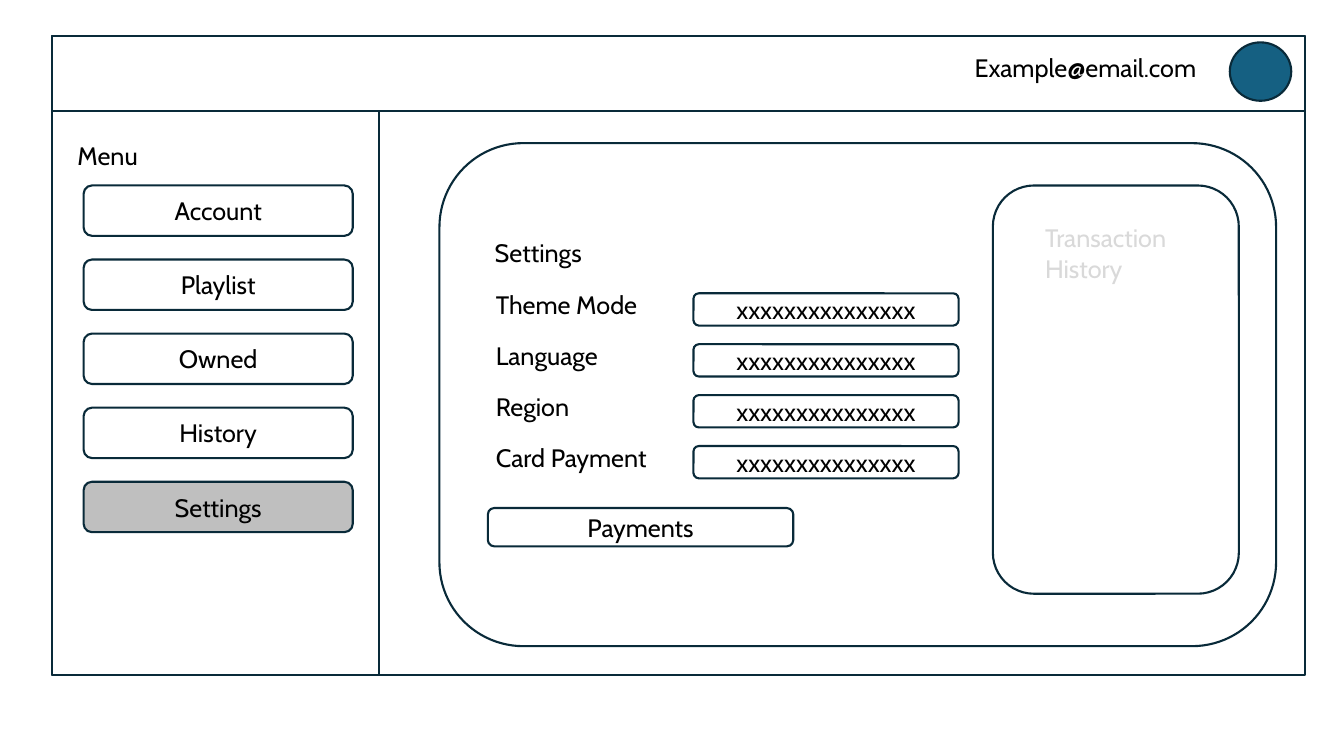
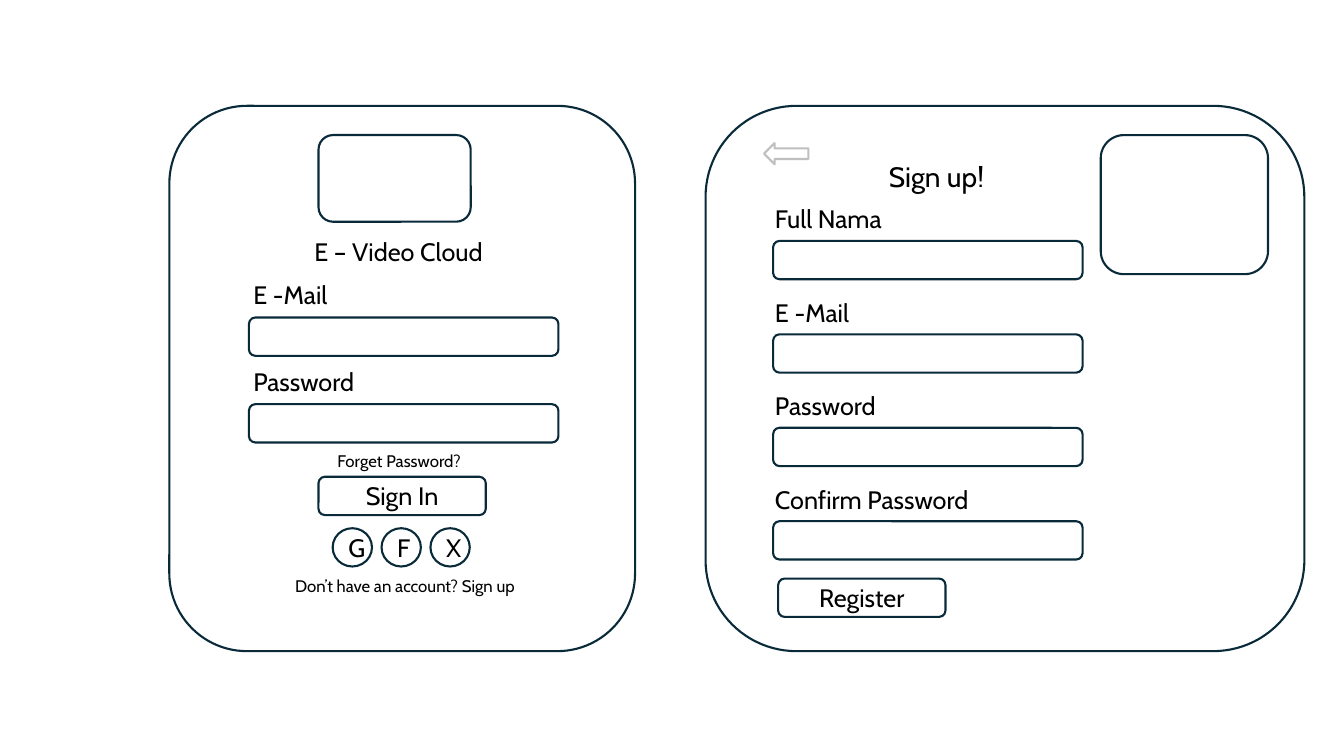
from pptx import Presentation
from pptx.dml.color import RGBColor
from pptx.enum.shapes import MSO_SHAPE as Shape
from pptx.enum.text import MSO_ANCHOR as Anchor, PP_ALIGN as Align
from pptx.util import Inches, Pt

COLORS = {
    "outline": "092A39",
    "text": "000000",
    "avatar": "156082",
    "muted": "BFBFBF",
    "faint": "D9D9D9",
}
CELL = 0.1  # inches per grid column and row
COLUMNS, ROWS = 133.33, 75


def grid(cells):
    return Inches(cells * CELL)


def color(name):
    return RGBColor.from_string(COLORS[name])


class Wireframe:
    """Style of the mock-ups and the slide being drawn."""

    font = "Cabin"
    size = 18
    line_width = 1.5

    def __init__(self):
        self.deck = Presentation()
        self.deck.slide_width = grid(COLUMNS)
        self.deck.slide_height = grid(ROWS)
        self.page = None

    def new_page(self):
        self.page = self.deck.slides.add_slide(self.deck.slide_layouts[6])

    def set_text(self, frame, text, size, ink, align):
        frame.word_wrap = True
        frame.text = text
        for paragraph in frame.paragraphs:
            paragraph.alignment = align
            paragraph.font.name = self.font
            paragraph.font.size = Pt(size)
            paragraph.font.color.rgb = color(ink)

    def box(self, left, top, width, height, text="", kind=Shape.ROUNDED_RECTANGLE,
            fill=None, line="outline"):
        box = self.page.shapes.add_shape(
            kind, grid(left), grid(top), grid(width), grid(height))
        box.shadow.inherit = False
        if fill:
            box.fill.solid()
            box.fill.fore_color.rgb = color(fill)
        else:
            box.fill.background()
        box.line.color.rgb = color(line)
        box.line.width = Pt(self.line_width)
        if text:
            box.text_frame.vertical_anchor = Anchor.MIDDLE
            self.set_text(box.text_frame, text, self.size, "text", Align.CENTER)

    def label(self, left, top, text, width=27, height=4, size=size, ink="text"):
        label = self.page.shapes.add_textbox(
            grid(left), grid(top), grid(width), grid(height))
        self.set_text(label.text_frame, text, size, ink, Align.LEFT)

    def form(self, left, top, pitch, names, indent, rise):
        """Stack of empty fields, each with its label above."""
        for row, name in enumerate(names):
            field_top = top + row * pitch
            self.label(left - indent, field_top - rise, name)
            self.box(left, field_top, 30.7, 3.8)


def settings_page(frame):
    frame.new_page()

    # Window, header and sidebar
    left, top, width, height, header = 5.2, 3.6, 124.3, 63.4, 7.4
    frame.box(left, top, width, height, kind=Shape.RECTANGLE)
    frame.box(left, top, width, header, kind=Shape.RECTANGLE)
    frame.box(left, top + header, 32.4, height - header, kind=Shape.RECTANGLE)
    frame.label(95.7, 4.7, "Example@email.com")
    frame.box(122, 4.2, 6.1, 5.8, kind=Shape.OVAL, fill="avatar")

    # Menu
    frame.label(6.7, 13.4, "Menu")
    menu = ["Account", "Playlist", "Owned", "History", "Settings"]
    for row, name in enumerate(menu):
        fill = "muted" if name == "Settings" else None
        frame.box(8.3, 18.4 + row * 7.35, 26.7, 5, name, fill=fill)

    # Settings panel
    frame.box(43.6, 14.2, 83, 49.9)
    frame.label(48.1, 23.1, "Settings")
    options = ["Theme Mode", "Language", "Region", "Card Payment"]
    for row, name in enumerate(options):
        field_top = 29.1 + row * 5.05
        frame.label(48.2, field_top - 0.9, name, width=20)
        frame.box(68.8, field_top, 26.3, 3.2, "x" * 15)
    frame.box(48.4, 50.4, 30.3, 3.8, "Payments")

    # Transaction history
    frame.box(98.5, 18.4, 24.4, 40.5)
    frame.label(102.7, 21.6, "Transaction\nHistory", width=18, height=7.1, ink="faint")


def account_page(frame):
    frame.new_page()
    panel_top, panel_height, logo_top = 10.5, 54.1, 13.4

    # Sign-in panel
    frame.box(16.8, panel_top, 46.2, panel_height)
    frame.box(31.6, logo_top, 15.1, 8.6)
    frame.label(30.2, 23, "E – Video Cloud")
    frame.form(24.7, 31.5, 8.6, ["E -Mail", "Password"], indent=0.55, rise=4.25)
    frame.label(32.5, 44.2, "Forget Password?", height=3, size=12)
    frame.box(31.6, 47.3, 16.6, 3.8, "Sign In")
    for column, letter in enumerate("GFX"):
        frame.box(33 + column * 4.85, 52.4, 3.9, 3.8, letter, kind=Shape.OVAL)
    frame.label(28.3, 56.6, "Don’t have an account? Sign up", height=3, size=12)

    # Sign-up panel
    frame.box(70, panel_top, 59.4, panel_height)
    frame.box(75.8, 14.2, 4.4, 2.1, kind=Shape.LEFT_ARROW, line="muted")
    frame.label(87.2, 15.3, "Sign up!", height=4.4, size=20)
    frame.box(109.2, logo_top, 16.6, 13.8)
    names = ["Full Nama", "E -Mail", "Password", "Confirm Password"]
    frame.form(76.7, 23.9, 9.27, names, indent=0.8, rise=4.2)
    frame.box(77.2, 57.4, 16.6, 3.8, "Register")


def main():
    frame = Wireframe()
    settings_page(frame)
    account_page(frame)
    frame.deck.save("out.pptx")


if __name__ == "__main__":
    main()
